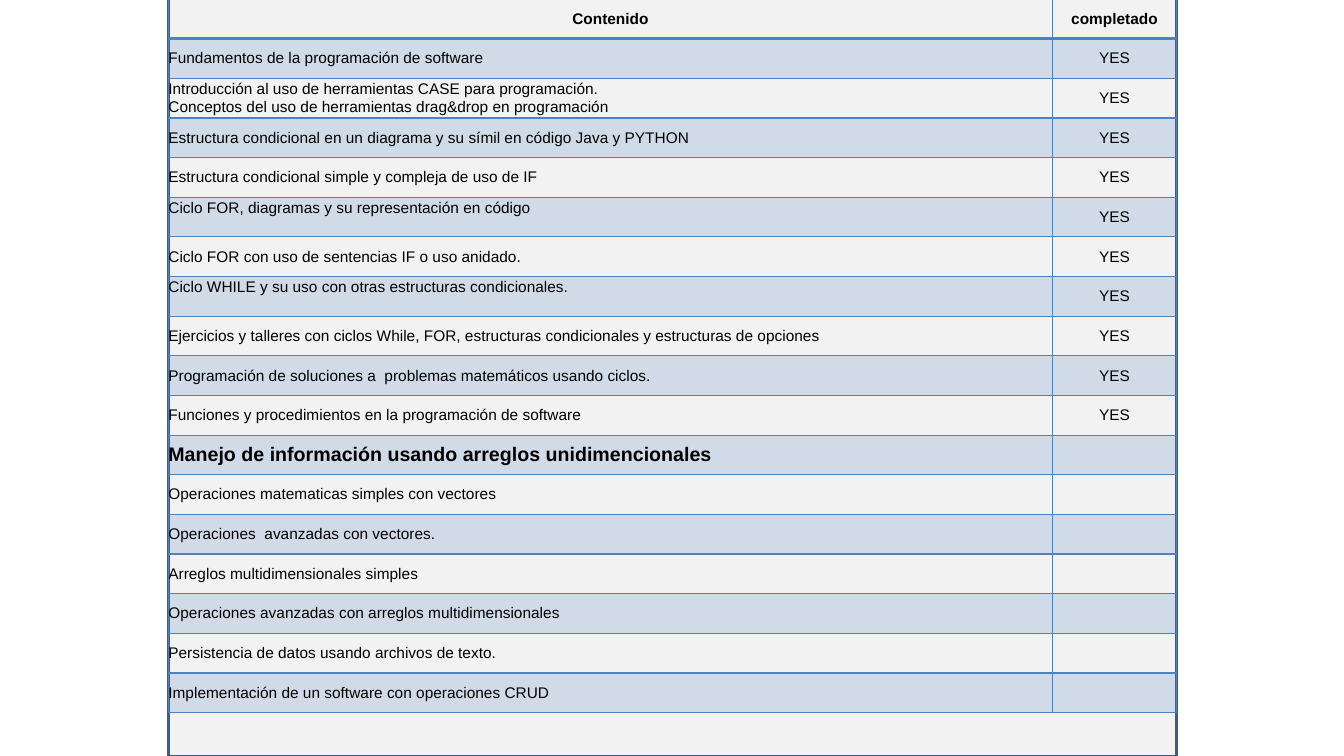
from lxml import etree
from pptx import Presentation
from pptx.dml.color import RGBColor
from pptx.enum import shapes, text
from pptx.oxml import ns
from pptx.util import Inches, Pt

HEADINGS = ("Contenido", "completado")
COMPLETED = [
    "Fundamentos de la programación de software",
    "Introducción al uso de herramientas CASE para programación.\n"
    "Conceptos del uso de herramientas drag&drop en programación",
    "Estructura condicional en un diagrama y su símil en código Java y PYTHON",
    "Estructura condicional simple y compleja de uso de IF",
    "Ciclo FOR, diagramas y su representación en código",
    "Ciclo FOR con uso de sentencias IF o uso anidado.",
    "Ciclo WHILE y su uso con otras estructuras condicionales.",
    "Ejercicios y talleres con ciclos While, FOR, estructuras condicionales y estructuras de opciones",
    "Programación de soluciones a  problemas matemáticos usando ciclos.",
    "Funciones y procedimientos en la programación de software",
]
CURRENT = "Manejo de información usando arreglos unidimencionales"
UPCOMING = [
    "Operaciones matematicas simples con vectores",
    "Operaciones  avanzadas con vectores.",
    "Arreglos multidimensionales simples",
    "Operaciones avanzadas con arreglos multidimensionales",
    "Persistencia de datos usando archivos de texto.",
    "Implementación de un software con operaciones CRUD",
]
TOP_ALIGNED_ROWS = {5, 7}

BLACK = RGBColor(0x00, 0x00, 0x00)
PANEL_GREY = RGBColor(0xF2, 0xF2, 0xF2)
PANEL_EDGE = RGBColor(0x39, 0x5E, 0x89)
BLUE = RGBColor(0x4F, 0x81, 0xBD)
BAND_ALPHA = "20000"

LEFT, TOP = Inches(1.67), Inches(-0.01)
COLUMN_WIDTHS = (Inches(8.77), Inches(1.23))
TABLE_HEIGHT = Inches(7.08)

BODY = {"name": "Arial", "size": Pt(11), "bold": False}
HEADING = {**BODY, "bold": True}
HIGHLIGHT = {**HEADING, "size": Pt(14)}
CENTRED = {"vertical_anchor": text.MSO_ANCHOR.MIDDLE,
           "margin_left": 0, "margin_right": 0, "margin_top": 0, "margin_bottom": 0}
RAISED = {**CENTRED, "vertical_anchor": text.MSO_ANCHOR.TOP, "margin_top": Inches(0.02)}


def apply(target, values):
    for key, value in values.items():
        setattr(target, key, value)


def add_borders(cell, widths):
    properties = cell._tc.get_or_add_tcPr()
    for position, (side, width) in enumerate(widths.items()):
        border = etree.Element(ns.qn(f"a:{side}"), w=str(Pt(width)))
        paint = etree.SubElement(border, ns.qn("a:solidFill"))
        etree.SubElement(paint, ns.qn("a:srgbClr"), val=str(BLUE))
        properties.insert(position, border)


def paint_band(cell, banded):
    if not banded:
        cell.fill.background()
        return
    cell.fill.solid()
    cell.fill.fore_color.rgb = BLUE
    colour = cell._tc.tcPr.find(".//" + ns.qn("a:srgbClr"))
    etree.SubElement(colour, ns.qn("a:alpha"), val=BAND_ALPHA)


def write(cell, wording, font, centred):
    cell.text = wording
    for paragraph in cell.text_frame.paragraphs:
        paragraph.alignment = text.PP_ALIGN.CENTER if centred else text.PP_ALIGN.LEFT
        for run in paragraph.runs:
            apply(run.font, font)
            run.font.color.rgb = BLACK


def main():
    deck = Presentation()
    apply(deck, {"slide_width": Inches(13.33), "slide_height": Inches(7.5)})
    slide = deck.slides.add_slide(deck.slide_layouts[6])

    panel = slide.shapes.add_shape(shapes.MSO_SHAPE.RECTANGLE, LEFT, TOP,
                                   sum(COLUMN_WIDTHS), Inches(7.51))
    panel.shadow.inherit = False
    panel.fill.solid()
    panel.fill.fore_color.rgb = PANEL_GREY
    panel.line.color.rgb = PANEL_EDGE
    panel.line.width = Pt(2)

    rows = [HEADINGS, *((topic, "YES") for topic in COMPLETED), (CURRENT, ""),
            *((topic, "") for topic in UPCOMING)]
    syllabus = slide.shapes.add_table(len(rows), len(HEADINGS), LEFT, TOP,
                                      sum(COLUMN_WIDTHS), TABLE_HEIGHT).table
    apply(syllabus, {"first_row": False, "horz_banding": False})
    for column, width in zip(syllabus.columns, COLUMN_WIDTHS):
        column.width = width

    for r, row in enumerate(rows):
        font = HEADING if r == 0 else HIGHLIGHT if row[0] == CURRENT else BODY
        widths = {"lnL": 1, "lnR": 1, "lnT": 2 if r == 1 else 1, "lnB": 2 if r == 0 else 1}
        for c, wording in enumerate(row):
            cell = syllabus.cell(r, c)
            raised = c == 0 and r in TOP_ALIGNED_ROWS
            apply(cell, RAISED if raised else CENTRED)
            write(cell, wording, font, centred=r == 0 or c == 1)
            paint_band(cell, banded=r % 2 == 1)
            add_borders(cell, widths)

    deck.save("out.pptx")


if __name__ == "__main__":
    main()
